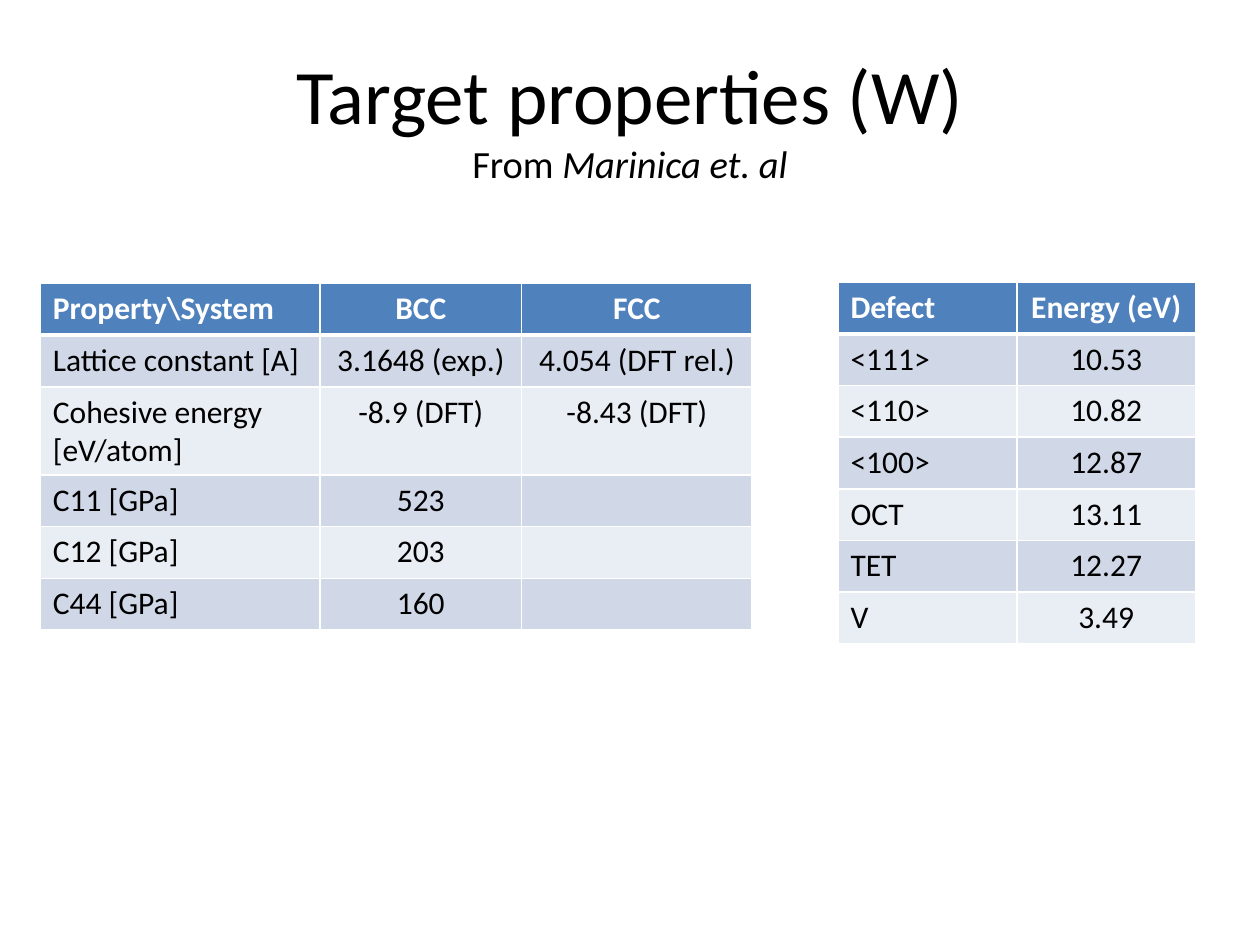
import pptx
import pptx.dml.color
import pptx.enum.text
import pptx.oxml.ns
import pptx.util
from lxml import etree

Inches = pptx.util.Inches
Pt = pptx.util.Pt
ALIGN = pptx.enum.text.PP_ALIGN
ANCHOR = pptx.enum.text.MSO_ANCHOR
COLORS = {
    "text": "000000",
    "white": "FFFFFF",
    "header": "4F81BD",
    "band_dark": "D0D8E8",
    "band_light": "E9EDF4",
}


def rgb(name):
    """Return the named colour."""
    return pptx.dml.color.RGBColor.from_string(COLORS[name])


def add_text(p, text, size=18, color="text", bold=False, italic=False, font="Calibri"):
    """Add one formatted run to a paragraph."""
    r = p.add_run()
    r.text = text
    r.font.name = font
    r.font.size = Pt(size)
    r.font.bold = bold
    r.font.italic = italic
    r.font.color.rgb = rgb(color)
    return r


def set_borders(cell, widths, color="white"):
    """Draw the cell edges, with widths in points keyed by L, R, T and B."""
    tcPr = cell._tc.get_or_add_tcPr()
    for i, side in enumerate("LRTB"):
        ln = etree.Element(pptx.oxml.ns.qn("a:ln" + side), w=str(Pt(widths[side])))
        fill = etree.SubElement(ln, pptx.oxml.ns.qn("a:solidFill"))
        etree.SubElement(fill, pptx.oxml.ns.qn("a:srgbClr"), val=COLORS[color])
        tcPr.insert(i, ln)


class Deck:
    """Holds the style and the current slide."""

    row_height = 0.41
    thin, thick = 1, 3

    def __init__(self, prs):
        """Start a blank slide."""
        self.slide = prs.slides.add_slide(prs.slide_layouts[6])

    def title(self, left, top, width, height, heading, lead, source):
        """Add a centred heading with a smaller source line below it."""
        sp = self.slide.shapes.add_textbox(
            Inches(left), Inches(top), Inches(width), Inches(height))
        tf = sp.text_frame
        tf.word_wrap = True
        tf.vertical_anchor = ANCHOR.MIDDLE
        p = tf.paragraphs[0]
        p.alignment = ALIGN.CENTER
        add_text(p, heading, size=44)
        p.add_line_break()
        add_text(p, lead, size=22)
        add_text(p, source, size=22, italic=True)

    def cell(self, cell, text, row, col):
        """Fill and write one table cell according to its place."""
        header = row == 0
        band = "band_dark" if row % 2 else "band_light"
        cell.fill.solid()
        cell.fill.fore_color.rgb = rgb("header" if header else band)
        set_borders(cell, {
            "L": self.thin, "R": self.thin,
            "T": self.thick if row == 1 else self.thin,
            "B": self.thick if header else self.thin,
        })
        p = cell.text_frame.paragraphs[0]
        p.alignment = ALIGN.CENTER if col else ALIGN.LEFT
        if text:
            add_text(p, text, color="white" if header else "text", bold=header)

    def table(self, left, top, widths, rows):
        """Add a banded table with a header row."""
        table = self.slide.shapes.add_table(
            len(rows), len(widths), Inches(left), Inches(top),
            Inches(sum(widths)), Inches(self.row_height * len(rows))).table
        for column, width in zip(table.columns, widths):
            column.width = Inches(width)
        for i, values in enumerate(rows):
            table.rows[i].height = Inches(self.row_height)
            for j, text in enumerate(values):
                self.cell(table.cell(i, j), text, i, j)


PROPERTIES = [
    ("Property\\System", "BCC", "FCC"),
    ("Lattice constant [A]", "3.1648 (exp.)", "4.054 (DFT rel.)"),
    ("Cohesive energy [eV/atom]", "-8.9 (DFT)", "-8.43 (DFT)"),
    ("C11 [GPa]", "523", ""),
    ("C12 [GPa]", "203", ""),
    ("C44 [GPa]", "160", ""),
]
DEFECTS = [
    ("Defect", "Energy (eV)"),
    ("<111>", "10.53"),
    ("<110>", "10.82"),
    ("<100>", "12.87"),
    ("OCT", "13.11"),
    ("TET", "12.27"),
    ("V", "3.49"),
]

prs = pptx.Presentation()
prs.slide_width, prs.slide_height = Inches(10), Inches(7.5)
deck = Deck(prs)
deck.title(0.5, 0.3, 9, 1.25, "Target properties (W)", "From ", "Marinica et. al")
deck.table(0.32, 2.25, [2.22, 1.6, 1.83], PROPERTIES)
deck.table(6.65, 2.24, [1.42, 1.42], DEFECTS)
prs.save("out.pptx")
